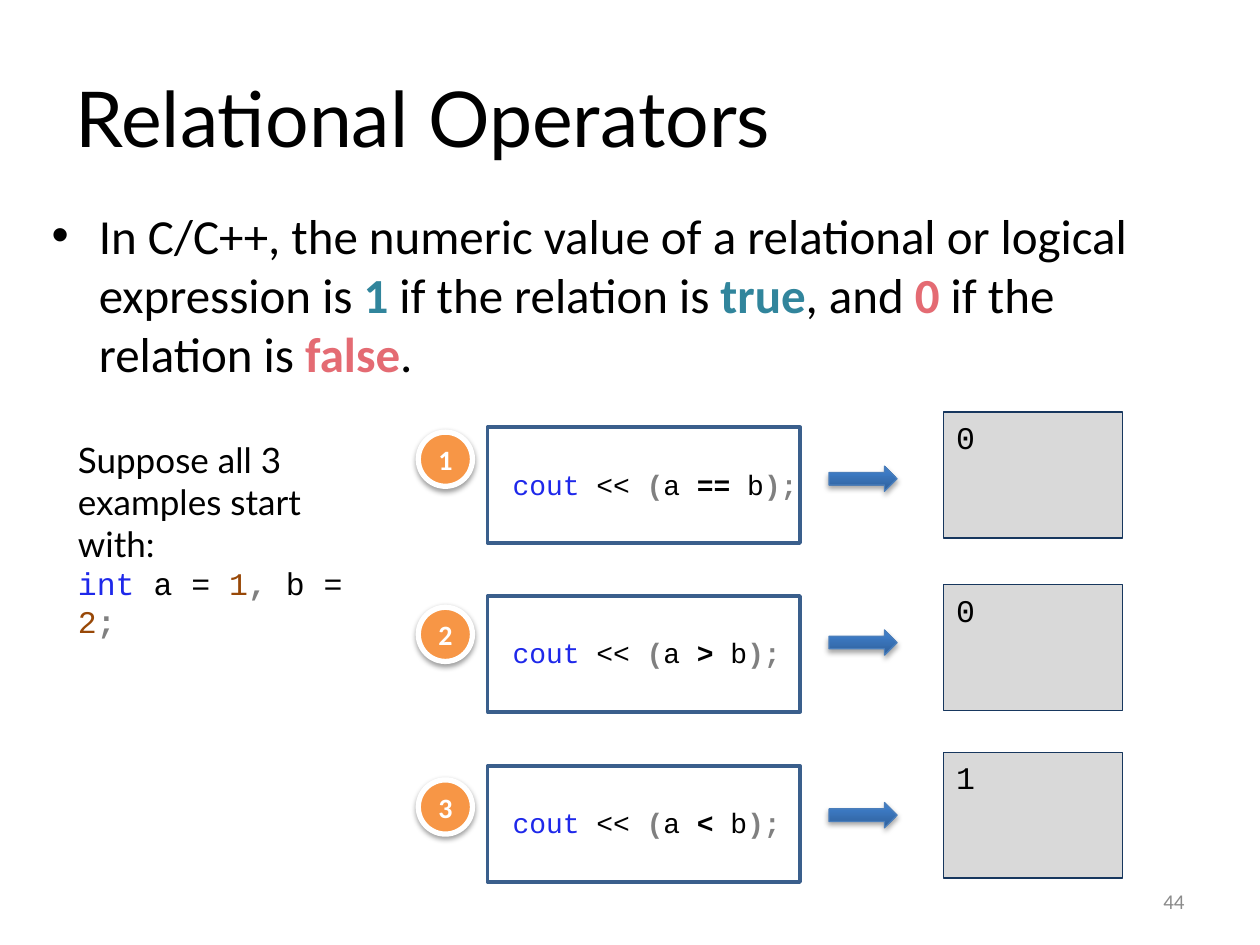
from dataclasses import dataclass

from lxml import etree
from pptx import Presentation
from pptx import util as u
from pptx.dml.color import RGBColor
from pptx.enum import shapes, text
from pptx.oxml import ns

CELL = 0.1  # the grid has 100 columns and 75 rows
COLORS = {
    "ink": "000000", "white": "FFFFFF", "true": "31859C", "false": "E46B73",
    "keyword": "1E28EA", "symbol": "808080", "number": "984807",
    "frame": "3A5F8C", "output": "D9D9D9", "output_line": "17375E",
    "badge": "F79646", "arrow_line": "4A7EBB", "arrow_dark": "2F5F99",
    "arrow_light": "3D7CC7", "page_number": "8B8B8B",
}
BODY, HEADING, CODE = "Calibri", "Lato", "Courier New"


@dataclass
class Area:
    col: float
    row: float
    cols: float
    rows: float

    def lengths(self) -> list:
        return [u.Inches(n * CELL) for n in (self.col, self.row, self.cols, self.rows)]


@dataclass
class Span:
    words: str
    color: str = "ink"
    bold: bool = False


@dataclass
class Example:
    operator: str
    result: str
    frame_row: float
    output_row: float
    arrow_row: float
    badge_row: float


BREAK = Span("\v")
EXAMPLES = [
    Example("==", "0", 33.9, 32.7, 37, 34.3),
    Example(">", "0", 47.3, 46.4, 50, 48.2),
    Example("<", "1", 60.8, 59.7, 63.7, 61.9),
]


def rgb(name: str) -> RGBColor:
    return RGBColor.from_string(COLORS[name])


def write(para, spans: list[Span], font: str, size: float) -> None:
    for part in spans:
        if part is BREAK:
            para.add_line_break()
            continue
        span = para.add_run()
        span.text = part.words
        span.font.name, span.font.size = font, u.Pt(size)
        span.font.bold = part.bold
        span.font.color.rgb = rgb(part.color)


def place(shape, area: Area) -> None:
    shape.left, shape.top, shape.width, shape.height = area.lengths()


def set_frame(shape, anchor=text.MSO_ANCHOR.TOP, align=text.PP_ALIGN.LEFT):
    """Wrap and anchor the shape's text; return its first paragraph."""
    frame = shape.text_frame
    frame.word_wrap = True
    frame.auto_size = text.MSO_AUTO_SIZE.NONE
    frame.vertical_anchor = anchor
    frame.paragraphs[0].alignment = align
    return frame.paragraphs[0]


def add_box(page, area: Area, **layout):
    box = page.shapes.add_textbox(*area.lengths())
    return box, set_frame(box, **layout)


def add_figure(page, kind, area: Area, fill: str | None, line: str, width: float):
    figure = page.shapes.add_shape(kind, *area.lengths())
    figure.shadow.inherit = False
    if fill:
        figure.fill.solid()
        figure.fill.fore_color.rgb = rgb(fill)
    else:
        figure.fill.background()
    figure.line.color.rgb = rgb(line)
    figure.line.width = u.Pt(width)
    return figure


def add_shadow(figure, opacity: int, distance: float) -> None:
    effects = figure.element.spPr.find(ns.qn("a:effectLst"))
    shadow = etree.SubElement(
        effects, ns.qn("a:outerShdw"), blurRad=str(u.Pt(3.1)),
        dist=str(u.Pt(distance)), dir="5400000", rotWithShape="0")
    color = etree.SubElement(shadow, ns.qn("a:srgbClr"), val=COLORS["ink"])
    etree.SubElement(color, ns.qn("a:alpha"), val=str(opacity * 1000))


def add_arrow(page, row: float) -> None:
    arrow = add_figure(page, shapes.MSO_SHAPE.RIGHT_ARROW, Area(65.8, row, 5.4, 2),
                       None, "arrow_line", 0.75)
    arrow.fill.gradient()
    arrow.fill.gradient_angle = 90
    stops = zip(arrow.fill.gradient_stops, ("arrow_dark", "arrow_light"), (0, 0.8))
    for stop, color, position in stops:
        stop.color.rgb = rgb(color)
        stop.position = position
    add_shadow(arrow, 35, 1.8)


def add_badge(page, row: float, number: int) -> None:
    badge = add_figure(page, shapes.MSO_SHAPE.OVAL, Area(33.2, row, 4.3, 4.3),
                       "badge", "white", 3)
    add_shadow(badge, 38, 1.6)
    para = set_frame(badge, text.MSO_ANCHOR.MIDDLE, text.PP_ALIGN.CENTER)
    badge.text_frame.word_wrap = False
    write(para, [Span(str(number), "white", True)], BODY, 16)


def add_example(page, number: int, example: Example) -> None:
    rectangle = shapes.MSO_SHAPE.RECTANGLE
    add_figure(page, rectangle, Area(38.7, example.frame_row, 24.8, 9.2),
               None, "frame", 2)
    _, para = add_box(page, Area(39.7, example.frame_row, 34, 9),
                      anchor=text.MSO_ANCHOR.MIDDLE)
    write(para, [Span("cout ", "keyword"), Span("<< "), Span("(", "symbol", True),
                 Span("a "), Span(example.operator, bold=True), Span(" b"),
                 Span(");", "symbol", True)], CODE, 16)
    output = add_figure(page, rectangle, Area(74.9, example.output_row, 14.2, 10),
                        "output", "output_line", 0.75)
    write(set_frame(output), [Span(example.result)], CODE, 18)
    add_arrow(page, example.arrow_row)
    add_badge(page, example.badge_row, number)


def main() -> None:
    deck = Presentation()
    deck.slide_width, deck.slide_height = u.Inches(10), u.Inches(7.5)
    page = deck.slides.add_slide(deck.slide_layouts[1])

    title, body = page.placeholders
    place(title, Area(5, 3, 90, 12.5))
    write(set_frame(title, text.MSO_ANCHOR.MIDDLE),
          [Span("Relational Operators")], HEADING, 44)

    place(body, Area(3.1, 15.8, 93.9, 53.7))
    write(set_frame(body), [
        Span("In C/C++, the numeric value of a relational or logical expression is "),
        Span("1", "true", True), Span(" if the relation is "),
        Span("true", "true", True), Span(", and "), Span("0", "false", True),
        Span(" if the relation is "), Span("false", "false", True), Span("."),
    ], BODY, 28)

    setup, para = add_box(page, Area(5.2, 34.3, 27.2, 20.3))
    write(para, [Span("Suppose all 3 examples start "), BREAK, Span("with:")],
          HEADING, 20)
    write(setup.text_frame.add_paragraph(), [
        Span("int", "keyword"), Span(" a = "), Span("1", "number"),
        Span(",", "symbol", True), Span(" b = "), Span("2", "number"),
        Span(";", "symbol", True),
    ], CODE, 18)

    for number, example in enumerate(EXAMPLES, 1):
        add_example(page, number, example)

    _, para = add_box(page, Area(71.7, 69.5, 23.3, 4),
                      anchor=text.MSO_ANCHOR.MIDDLE, align=text.PP_ALIGN.RIGHT)
    write(para, [Span("44", "page_number")], BODY, 12)
    deck.save("out.pptx")


if __name__ == "__main__":
    main()
